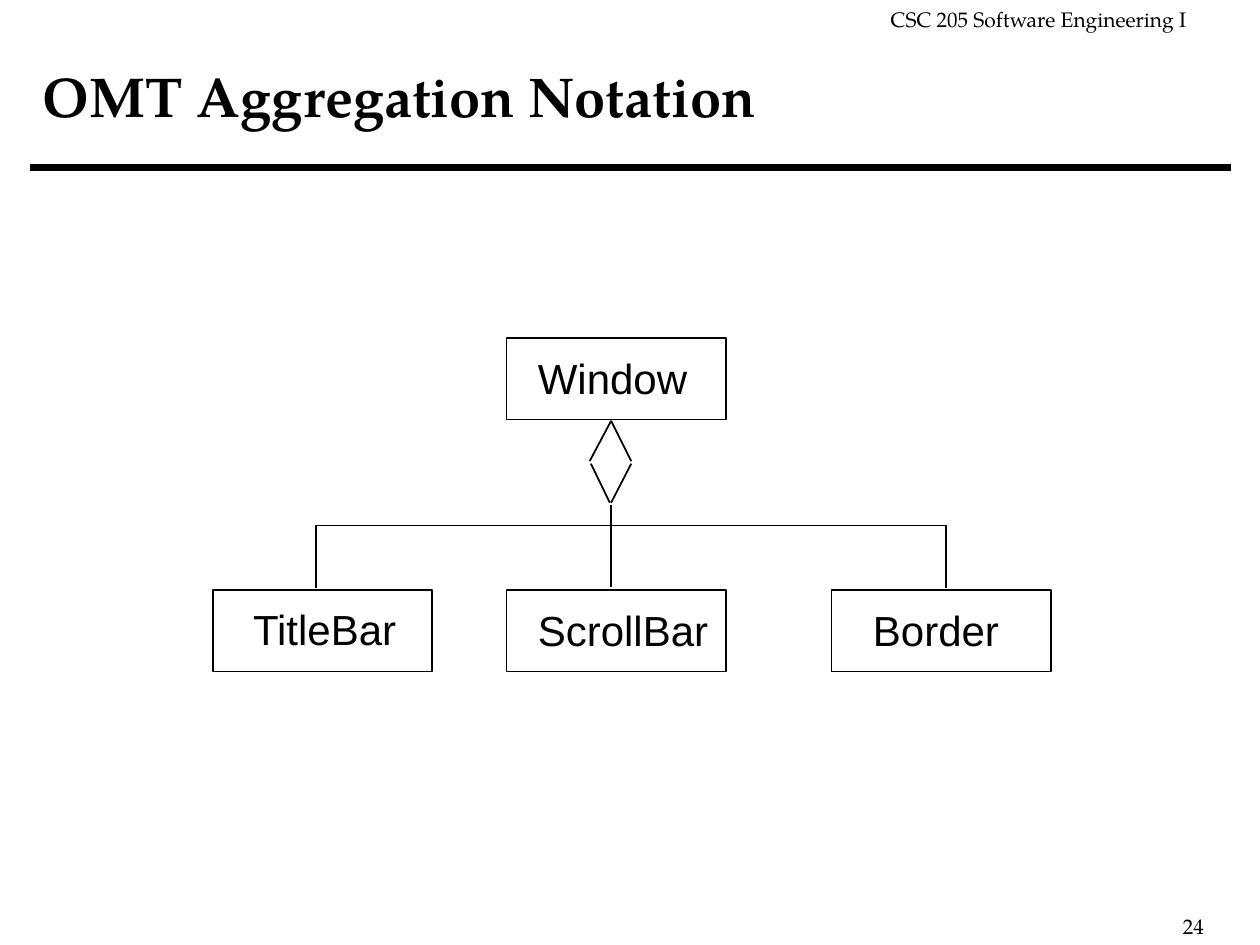
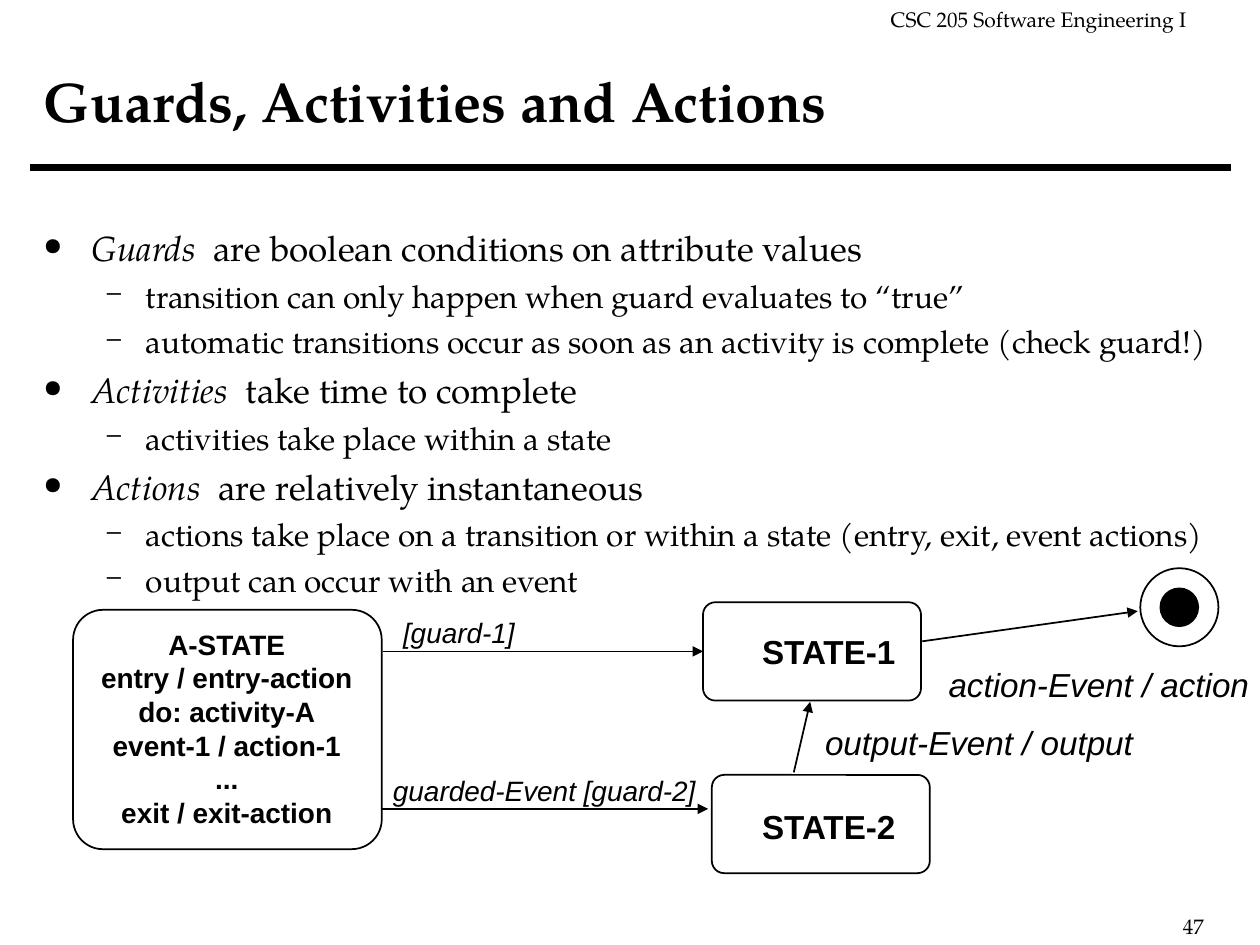
from lxml import etree
from pptx import Presentation
from pptx.dml.color import RGBColor
from pptx.enum.shapes import MSO_CONNECTOR, MSO_SHAPE
from pptx.enum.text import MSO_ANCHOR, MSO_AUTO_SIZE, PP_ALIGN
from pptx.oxml.ns import qn
from pptx.util import Pt

PX = 9144
BLACK = RGBColor(0, 0, 0)
WHITE = RGBColor(255, 255, 255)
SERIF = "TeX Gyre Pagella"
SANS = "Arial"
STRAIGHT = MSO_CONNECTOR.STRAIGHT
RECT, ROUND, OVAL = MSO_SHAPE.RECTANGLE, MSO_SHAPE.ROUNDED_RECTANGLE, MSO_SHAPE.OVAL
TOP, MIDDLE = MSO_ANCHOR.TOP, MSO_ANCHOR.MIDDLE
FIXED = MSO_AUTO_SIZE.NONE
LEFT, CENTER = PP_ALIGN.LEFT, PP_ALIGN.CENTER


def add_text(s, box, lines, size, name=SANS, anchor=TOP, align=LEFT, **style):
    tf = s.shapes.add_textbox(*[v * PX for v in box]).text_frame
    frame = {
        "word_wrap": True,
        "auto_size": FIXED,
        "vertical_anchor": anchor,
        "margin_right": 0 if align == LEFT else 10 * PX,
    }
    for key, value in frame.items():
        setattr(tf, key, value)
    for i, line in enumerate(lines):
        p = tf.paragraphs[0] if i == 0 else tf.add_paragraph()
        p.alignment = align
        r = p.add_run()
        r.text = line
        r.font.color.rgb = BLACK
        for key, value in {"name": name, "size": Pt(size), **style}.items():
            setattr(r.font, key, value)


def add_line(s, ends, width=1, arrow=False):
    sp = s.shapes.add_connector(STRAIGHT, *[v * PX for v in ends])
    sp.line.color.rgb = BLACK
    sp.line.width = Pt(width)
    if arrow:
        etree.SubElement(sp.line._get_or_add_ln(), qn("a:tailEnd"), type="triangle")
    etree.SubElement(sp._element.spPr, qn("a:effectLst"))


prs = Presentation()
prs.slide_width = 1000 * PX
prs.slide_height = 750 * PX

slides = []
for title, number, title_box in [
    ("OMT Aggregation Notation", "24", (24, 17, 958, 117)),
    ("Guards, Activities and Actions", "47", (25, 17, 958, 125)),
]:
    s = prs.slides.add_slide(prs.slide_layouts[6])
    s.background.fill.solid()
    s.background.fill.fore_color.rgb = WHITE
    add_text(s, (697, 0, 255, 30), ["CSC 205 Software Engineering I"], 12, SERIF)
    add_text(s, (929, 720, 60, 30), [number], 12, SERIF)
    add_line(s, (24, 133, 977, 133), 4)
    add_text(s, title_box, [title], 32, SERIF, anchor=MIDDLE, bold=True)
    slides.append(s)

omt, guards = slides

for name, x, y, label_box in [
    ("Window", 402, 268, (417, 275, 138, 50)),
    ("TitleBar", 169, 468, (191, 474, 135, 50)),
    ("ScrollBar", 402, 468, (417, 475, 155, 50)),
    ("Border", 660, 468, (683, 475, 120, 50)),
]:
    sp = omt.shapes.add_shape(RECT, x * PX, y * PX, 174 * PX, 65 * PX)
    sp.shadow.inherit = False
    sp.fill.background()
    sp.line.color.rgb = BLACK
    sp.line.width = Pt(1)
    add_text(omt, label_box, [name], 24)

for ends in [
    (485, 401, 485, 466),
    (251, 467, 251, 417),
    (751, 467, 751, 417),
    (252, 417, 751, 417),
    (485, 334, 468, 366),
    (485, 334, 501, 366),
    (501, 368, 485, 399),
    (469, 368, 484, 399),
]:
    add_line(omt, ends)

bullets = [
    (0, "Guards", "  are boolean conditions on attribute values"),
    (1, "", "transition can only happen when guard evaluates to “true”"),
    (1, "", "automatic transitions occur as soon as an activity is complete (check guard!)"),
    (0, "Activities", "  take time to complete"),
    (1, "", "activities take place within a state"),
    (0, "Actions", "  are relatively instantaneous"),
    (1, "", "actions take place on a transition or within a state (entry, exit, event actions)"),
    (1, "", "output can occur with an event"),
]
levels = [
    {"char": "•", "size": 20, "margin": 38, "hang": 38, "before": 5, "scale": 100},
    {"char": "–", "size": 18, "margin": 81, "hang": 31, "before": 4.5, "scale": 90},
]
tf = guards.shapes.add_textbox(25 * PX, 175 * PX, 958 * PX, 508 * PX).text_frame
tf.word_wrap = True
for i, (level, term, rest) in enumerate(bullets):
    look = levels[level]
    p = tf.paragraphs[0] if i == 0 else tf.add_paragraph()
    p.level = level
    if i:
        p.space_before = Pt(look["before"])
    pPr = p._p.get_or_add_pPr()
    pPr.set("marL", str(look["margin"] * PX))
    pPr.set("indent", str(-look["hang"] * PX))
    etree.SubElement(pPr, qn("a:buSzPct"), val=str(look["scale"] * 1000))
    etree.SubElement(pPr, qn("a:buFont"), typeface=SERIF)
    etree.SubElement(pPr, qn("a:buChar"), char=look["char"])
    for part, italic in [(term, True), (rest, False)]:
        if part:
            r = p.add_run()
            r.text = part
            r.font.color.rgb = BLACK
            for key, value in {"name": SERIF, "size": Pt(look["size"]), "italic": italic}.items():
                setattr(r.font, key, value)

for ends in [
    (304, 517, 558, 517),
    (301, 642, 562, 642),
    (732, 509, 903, 485),
    (630, 613, 643, 557),
]:
    add_line(guards, ends, arrow=True)

for kind, box, fill in [
    (ROUND, (565, 615, 173, 78), None),
    (ROUND, (558, 478, 173, 78), None),
    (ROUND, (58, 484, 245, 190), WHITE),
    (OVAL, (905, 451, 62, 62), None),
    (OVAL, (921, 467, 30, 30), BLACK),
]:
    sp = guards.shapes.add_shape(kind, *[v * PX for v in box])
    sp.shadow.inherit = False
    sp.line.color.rgb = BLACK
    sp.line.width = Pt(1)
    if kind == ROUND:
        sp.adjustments[0] = 0.125
    if fill is None:
        sp.fill.background()
    else:
        sp.fill.solid()
        sp.fill.fore_color.rgb = fill

for label, box, size, style in [
    ("STATE-1", (595, 496, 129, 41), 19, {"bold": True}),
    ("STATE-2", (595, 635, 129, 41), 19, {"bold": True}),
    ("action-Event / action", (743, 522, 257, 41), 19, {"italic": True}),
    ("output-Event / output", (645, 568, 264, 41), 19, {"italic": True}),
    ("guarded-Event [guard-2]", (302, 609, 259, 36), 16, {"italic": True}),
    ("[guard-1]", (310, 484, 108, 36), 16, {"italic": True}),
]:
    add_text(guards, box, [label], size, **style)

state_lines = [
    "A-STATE",
    "entry / entry-action",
    "do: activity-A",
    "event-1 / action-1",
    "...",
    "exit / exit-action",
]
add_text(guards, (57, 493, 246, 170), state_lines, 16, align=CENTER, bold=True)

prs.save("out.pptx")
